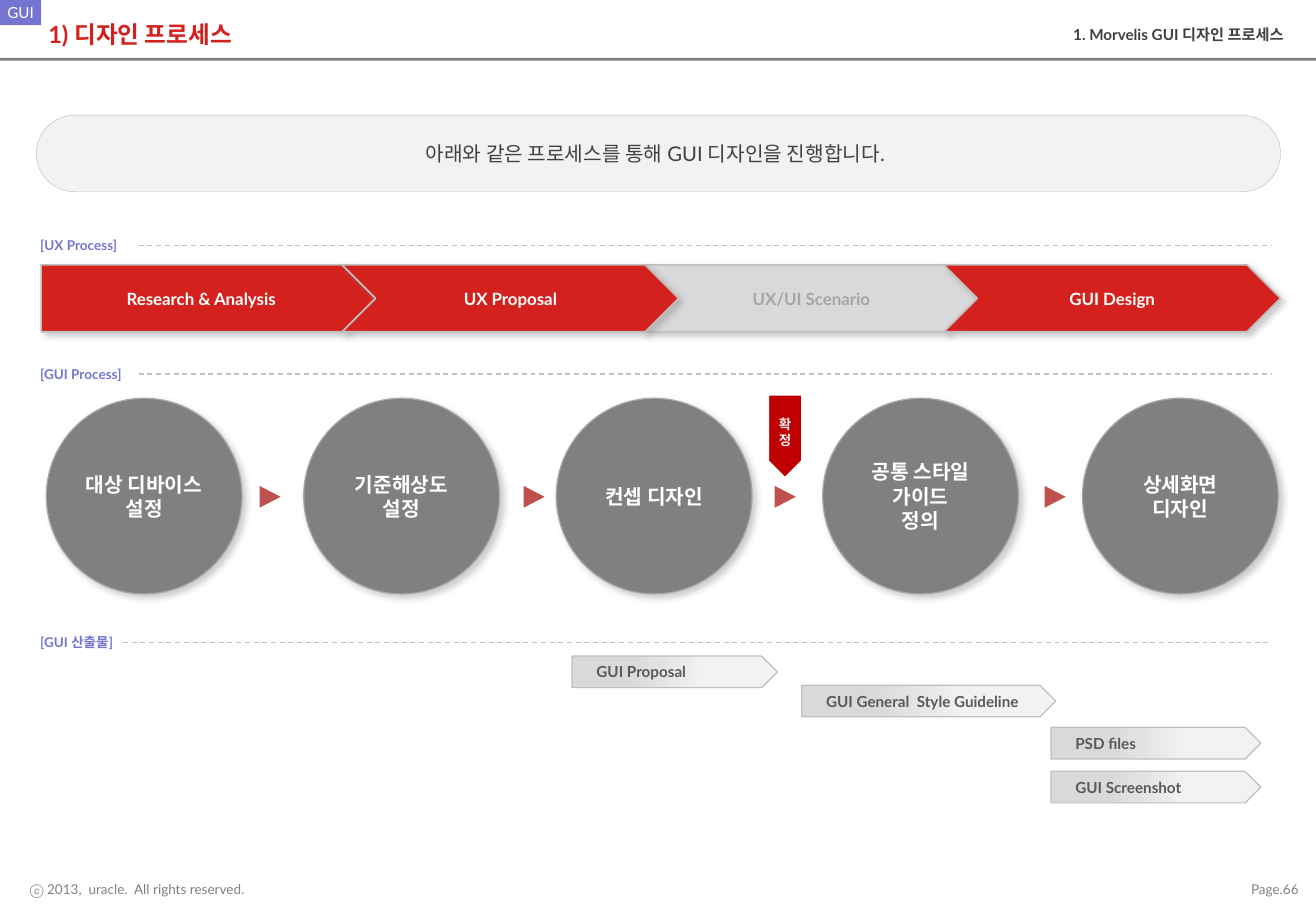
from dataclasses import dataclass

from lxml.etree import SubElement
from pptx import Presentation
from pptx.dml.color import RGBColor
from pptx.enum.dml import MSO_LINE
from pptx.enum.shapes import MSO_CONNECTOR, MSO_SHAPE
from pptx.enum.text import MSO_ANCHOR, PP_ALIGN
from pptx.oxml.ns import qn
from pptx.shapes.autoshape import Shape
from pptx.slide import Slide
from pptx.util import Cm, Pt

FONT = "Lato"
RED, VIOLET, WHITE = "D5211D", "7575D1", "FFFFFF"
GRAY, SILVER, DARK, PALE = "808080", "BFBFBF", "404040", "F2F2F2"


@dataclass
class Box:
    left: float
    top: float
    width: float
    height: float


@dataclass
class Style:
    size: float
    color: str
    bold: bool = False
    align: PP_ALIGN = PP_ALIGN.CENTER
    anchor: MSO_ANCHOR = MSO_ANCHOR.MIDDLE
    wrap: bool = True
    margins: tuple[float, float, float, float] = (0.25, 0.13, 0.25, 0.13)


@dataclass
class Section:
    label: str
    top: float
    label_width: float
    line_left: float


@dataclass
class UxStep:
    label: str
    position: int
    fill: str = RED
    color: str = WHITE


@dataclass
class GuiStep:
    label: str
    left: float


@dataclass
class Deliverable:
    label: str
    left: float
    top: float
    width: float


def rgb(code: str) -> RGBColor:
    return RGBColor.from_string(code)


def write(shape: Shape, text: str, style: Style) -> None:
    frame = shape.text_frame
    frame.text = text
    frame.word_wrap = style.wrap
    frame.vertical_anchor = style.anchor
    (frame.margin_left, frame.margin_top,
     frame.margin_right, frame.margin_bottom) = map(Cm, style.margins)
    for paragraph in frame.paragraphs:
        paragraph.alignment = style.align
        for run in paragraph.runs:
            run.font.name = FONT
            run.font.size = Pt(style.size)
            run.font.bold = style.bold
            run.font.color.rgb = rgb(style.color)


def add_text(slide: Slide, box: Box, text: str, style: Style) -> None:
    area = slide.shapes.add_textbox(Cm(box.left), Cm(box.top), Cm(box.width), Cm(box.height))
    write(area, text, style)


def add_figure(slide: Slide, preset: MSO_SHAPE, box: Box, fill: str | None,
               line: str | None = None, line_width: float = 0.75) -> Shape:
    figure = slide.shapes.add_shape(
        preset, Cm(box.left), Cm(box.top), Cm(box.width), Cm(box.height))
    figure.shadow.inherit = False
    if fill:
        figure.fill.solid()
        figure.fill.fore_color.rgb = rgb(fill)
    if line:
        figure.line.color.rgb = rgb(line)
        figure.line.width = Pt(line_width)
    else:
        figure.line.fill.background()
    return figure


def cast_shadow(figure: Shape) -> None:
    effects = figure._element.spPr.find(qn("a:effectLst"))
    shadow = SubElement(effects, qn("a:outerShdw"), blurRad=str(Pt(4)), dist=str(Pt(3)),
                        dir="2700000", algn="tl", rotWithShape="0")
    color = SubElement(shadow, qn("a:srgbClr"), val=GRAY)
    SubElement(color, qn("a:alpha"), val="40000")


def add_section(slide: Slide, section: Section) -> None:
    add_text(slide, Box(0.84, section.top, section.label_width, 0.61), section.label,
             Style(8, VIOLET, True, PP_ALIGN.LEFT, MSO_ANCHOR.TOP, margins=(0, 0.13, 0.25, 0.13)))
    y = Cm(section.top + 0.3)
    divider = slide.shapes.add_connector(
        MSO_CONNECTOR.STRAIGHT, Cm(section.line_left), y, Cm(26.57), y)
    divider.line.color.rgb = rgb(SILVER)
    divider.line.width = Pt(0.75)
    divider.line.dash_style = MSO_LINE.DASH
    SubElement(divider._element.spPr, qn("a:effectLst"))


def add_ux_step(slide: Slide, step: UxStep) -> None:
    preset = MSO_SHAPE.CHEVRON if step.position else MSO_SHAPE.PENTAGON
    box = Box(0.86 + 6.29 * step.position, 5.54, 7.04, 1.4)
    arrow = add_figure(slide, preset, box, step.fill, SILVER, 1)
    cast_shadow(arrow)
    write(arrow, step.label, Style(10, step.color, True, wrap=False))


def add_gui_step(slide: Slide, step: GuiStep) -> None:
    circle = add_figure(slide, MSO_SHAPE.OVAL, Box(step.left, 8.33, 4.09, 4.09), GRAY, "A6A6A6")
    cast_shadow(circle)
    write(circle, step.label, Style(12, WHITE, True, wrap=False))


def add_deliverable(slide: Slide, item: Deliverable) -> None:
    tag = add_figure(slide, MSO_SHAPE.PENTAGON,
                     Box(item.left, item.top, item.width, 0.66), None, SILVER)
    tag.fill.gradient()
    tag.fill.gradient_angle = 0
    for stop, position, color in zip(tag.fill.gradient_stops, (0.27, 0.66), ("D9D9D9", PALE)):
        stop.position = position
        stop.color.rgb = rgb(color)
    write(tag, item.label,
          Style(9, "595959", True, PP_ALIGN.LEFT, margins=(0.51, 0.13, 0.25, 0.13)))


SECTIONS = [
    Section("[UX Process]", 4.83, 1.96, 2.9),
    Section("[GUI Process]", 7.52, 2.06, 2.9),
    Section("[GUI 산출물]", 13.13, 1.88, 2.57),
]
# Listed from back to front
UX_STEPS = [
    UxStep("UX/UI Scenario", 2, "D9D9D9", "A6A6A6"),
    UxStep("Research & Analysis", 0),
    UxStep("GUI Design", 3),
    UxStep("UX Proposal", 1),
]
GUI_STEPS = [
    GuiStep("대상 디바이스\n설정", 0.97),
    GuiStep("기준해상도\n설정", 6.35),
    GuiStep("컨셉 디자인", 11.63),
    GuiStep("공통 스타일\n가이드\n정의", 17.2),
    GuiStep("상세화면\n디자인", 22.63),
]
NEXT_ARROW_LEFTS = [5.38, 10.9, 16.15, 21.79]
DELIVERABLES = [
    Deliverable("GUI Proposal", 11.96, 13.72, 4.29),
    Deliverable("GUI General  Style Guideline", 16.76, 14.33, 5.31),
    Deliverable("PSD files", 21.97, 15.21, 4.39),
    Deliverable("GUI Screenshot", 21.97, 16.13, 4.39),
]


def main() -> None:
    deck = Presentation()
    deck.slide_width, deck.slide_height = Cm(27.51), Cm(19.05)
    slide = deck.slides.add_slide(deck.slide_layouts[6])

    # Header
    add_figure(slide, MSO_SHAPE.RECTANGLE, Box(0, 1.21, 27.51, 0.06), GRAY)
    badge = add_figure(slide, MSO_SHAPE.RECTANGLE, Box(0, 0, 0.86, 0.53), VIOLET)
    write(badge, "GUI", Style(9, WHITE, wrap=False, margins=(0.25, 0, 0.25, 0)))
    add_text(slide, Box(0.76, 0.2, 26.24, 1.04), "1) 디자인 프로세스",
             Style(14, RED, True, PP_ALIGN.LEFT))
    add_text(slide, Box(17.48, 0.41, 9.6, 0.71), "1. Morvelis GUI 디자인 프로세스",
             Style(9, DARK, True, PP_ALIGN.RIGHT, MSO_ANCHOR.TOP))

    # Summary banner
    banner = add_figure(slide, MSO_SHAPE.ROUNDED_RECTANGLE,
                        Box(0.76, 2.41, 26.01, 1.6), PALE, SILVER, 0.25)
    banner.adjustments[0] = 0.5
    add_text(slide, Box(1.3, 2.62, 24.8, 1.19),
             "아래와 같은 프로세스를 통해 GUI 디자인을 진행합니다.", Style(12, DARK))

    # Section labels and process steps
    for section in SECTIONS:
        add_section(slide, section)
    for ux_step in UX_STEPS:
        add_ux_step(slide, ux_step)
    for left in NEXT_ARROW_LEFTS:
        next_arrow = add_figure(slide, MSO_SHAPE.ISOSCELES_TRIANGLE,
                                Box(left, 10.11, 0.58, 0.56), "C0504D", WHITE, 2)
        next_arrow.rotation = 90
    for gui_step in GUI_STEPS:
        add_gui_step(slide, gui_step)

    # Confirmation flag
    confirmed = add_figure(slide, MSO_SHAPE.PENTAGON, Box(15.52, 8.76, 1.78, 0.74),
                           "C00000", WHITE, 2)
    confirmed.rotation = 90
    write(confirmed, "확정", Style(8, PALE, True))
    confirmed.text_frame._txBody.bodyPr.set("vert", "vert270")

    # Deliverables
    for item in DELIVERABLES:
        add_deliverable(slide, item)

    # Footer
    footer = Style(8, GRAY, align=PP_ALIGN.RIGHT, margins=(0.23, 0.1, 0.23, 0.1))
    add_text(slide, Box(0.15, 18.31, 5.2, 0.56), "ⓒ 2013,  uracle.  All rights reserved.", footer)
    add_text(slide, Box(25.4, 18.31, 1.98, 0.56), "Page.66", footer)

    deck.save("out.pptx")


if __name__ == "__main__":
    main()
